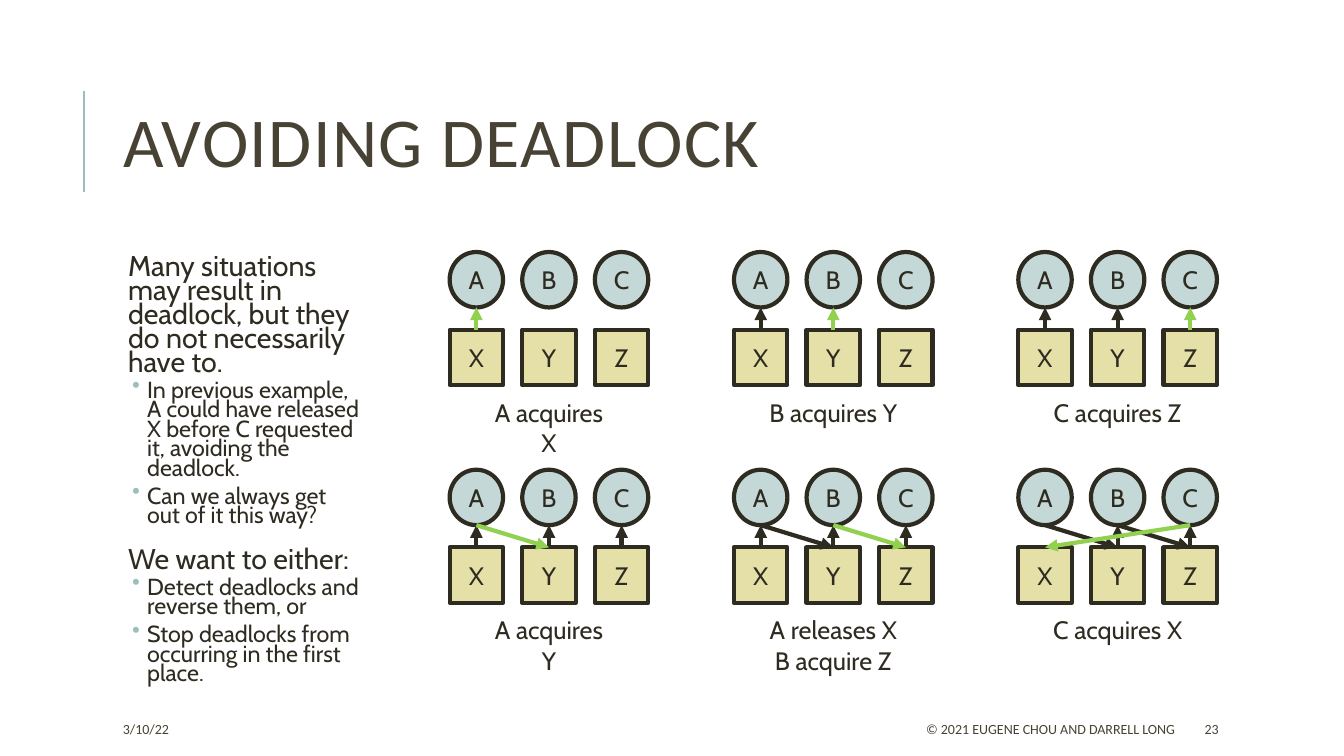
from pptx import Presentation
from pptx.dml.color import RGBColor
from pptx.enum.shapes import MSO_CONNECTOR, MSO_SHAPE
from pptx.enum.text import MSO_ANCHOR, PP_ALIGN
from pptx.oxml.ns import qn
from pptx.util import Inches, Pt
from lxml.etree import SubElement

COLORS = {"text": "2E2B21", "title": "474233", "accent": "9CBEBD",
          "process": "C4D8D7", "resource": "E4E0A7", "new": "92D050"}
SLIDE_W, SLIDE_H = 13.33, 7.5
LEFT = 1.12                         # left edge of title, text and footer
GRID_X, GRID_Y = 4.46, 2.5          # first panel
COL, ROW = 2.82, 2.16               # panel pitch
NODE_W, NODE_H, NODE_STEP = 0.53, 0.55, 0.72
RESOURCE_DY, CAPTION_DY = 0.77, 1.39
PANEL_W = 2 * NODE_STEP + NODE_W
PROCESSES, RESOURCES = "ABC", "XYZ"

# Caption lines, caption width, arrows from-to; the last arrow is the new one
PANELS = [
    (["A acquires X"], 1.4, ["XA"]),
    (["B acquires Y"], 1.5, ["XA", "YB"]),
    (["C acquires Z"], 1.5, ["XA", "YB", "ZC"]),
    (["A acquires Y"], 1.4, ["XA", "YB", "ZC", "AY"]),
    (["A releases X", "B acquire Z"], 1.5, ["XA", "AY", "YB", "ZC", "BZ"]),
    (["C acquires X"], 2.61, ["AY", "BZ", "YB", "ZC", "CX"]),
]
BODY = [
    (0, "Many situations may result in deadlock, but they do not necessarily have to."),
    (1, "In previous example, A could have released X before C requested it, "
        "avoiding the deadlock."),
    (1, "Can we always get out of it this way?"),
    (0, "We want to either:"),
    (1, "Detect deadlocks and reverse them, or"),
    (1, "Stop deadlocks from occurring in the first place."),
]


def rgb(name):
    return RGBColor.from_string(COLORS[name])


def box(*lengths):
    return [Inches(v) for v in lengths]


def write(p, text, size=18, font="Cabin", color="text", align=None):
    r = p.add_run()
    r.text = text
    r.font.size, r.font.name = Pt(size), font
    r.font.color.rgb = rgb(color)
    p.alignment = align
    return r


def add_text(shapes, at, lines, anchor=MSO_ANCHOR.TOP, **fmt):
    tf = shapes.add_textbox(*box(*at)).text_frame
    tf.word_wrap, tf.vertical_anchor = True, anchor
    for i, line in enumerate(lines):
        write(tf.add_paragraph() if i else tf.paragraphs[0], line, **fmt)


def add_line(shapes, start, end, color, width, arrow=False):
    cx = shapes.add_connector(MSO_CONNECTOR.STRAIGHT, *box(*start, *end))
    cx.line.color.rgb, cx.line.width = rgb(color), Pt(width)
    if arrow:
        SubElement(cx.line._get_or_add_ln(), qn("a:tailEnd"), type="triangle")
    SubElement(cx._element.spPr, qn("a:effectLst"))


def add_node(shapes, kind, at, label, fill):
    sp = shapes.add_shape(kind, *box(*at, NODE_W, NODE_H))
    sp.shadow.inherit = False
    sp.fill.solid()
    sp.fill.fore_color.rgb = rgb(fill)
    sp.line.color.rgb, sp.line.width = rgb("text"), Pt(3)
    tf = sp.text_frame
    tf.vertical_anchor = MSO_ANCHOR.MIDDLE
    write(tf.paragraphs[0], label, align=PP_ALIGN.CENTER)


def add_title(s):
    add_line(s.shapes, (0.83, 1.9), (0.83, 0.9), "accent", 1.5)
    sp = s.shapes.title
    sp.left, sp.top, sp.width, sp.height = box(LEFT, 0.64, 10.63, 1.64)
    tf = sp.text_frame
    tf.word_wrap, tf.vertical_anchor = True, MSO_ANCHOR.MIDDLE
    p = tf.paragraphs[0]
    p.line_spacing = 0.8
    r = write(p, "AVOIDING DEADLOCK", 50, "Calibri", "title", PP_ALIGN.LEFT)
    r.font._element.set("spc", "100")


def add_body(s, at):
    tf = s.shapes.add_textbox(*box(*at)).text_frame
    tf.word_wrap = True
    tf.margin_left = tf.margin_right = tf.margin_top = tf.margin_bottom = Inches(0.05)
    for i, (level, text) in enumerate(BODY):
        p = tf.add_paragraph() if i else tf.paragraphs[0]
        p.level, p.line_spacing = level, 0.7
        p.space_before = Pt((2 if level else 12) if i else 0)
        p.space_after = Pt(4 if level else 2)
        pPr = p._p.get_or_add_pPr()
        pPr.set("marL", str(Inches(0.29 if level else 0.1)))
        pPr.set("indent", str(Inches(-0.15 if level else 0)))
        if level:
            clr = SubElement(pPr, qn("a:buClr"))
            SubElement(clr, qn("a:srgbClr"), val=COLORS["accent"])
            SubElement(pPr, qn("a:buChar"), char="•")
        write(p, text, 16.6 if level else 20.4)


def add_panel(s, x, y, caption, caption_w, arrows):
    shapes = s.shapes.add_group_shape().shapes
    ports = {}                      # where arrows meet each node
    for i, (process, resource) in enumerate(zip(PROCESSES, RESOURCES)):
        nx = x + i * NODE_STEP
        add_node(shapes, MSO_SHAPE.OVAL, (nx, y), process, "process")
        add_node(shapes, MSO_SHAPE.RECTANGLE, (nx, y + RESOURCE_DY), resource, "resource")
        ports[process] = (nx + NODE_W / 2, y + NODE_H)
        ports[resource] = (nx + NODE_W / 2, y + RESOURCE_DY)
    add_text(shapes, (x + (PANEL_W - caption_w) / 2, y + CAPTION_DY, caption_w, 0.7),
             caption, align=PP_ALIGN.CENTER)
    for start, end in arrows:
        color = "new" if start + end == arrows[-1] else "text"
        add_line(shapes, ports[start], ports[end], color, 3, arrow=True)


def add_footer(s):
    for x, w, text, align in [
            (LEFT, 2.36, "3/10/22", PP_ALIGN.LEFT),
            (5.3, 6.45, "© 2021 EUGENE CHOU AND DARRELL LONG", PP_ALIGN.RIGHT),
            (11.85, 1.06, "23", PP_ALIGN.LEFT)]:
        add_text(s.shapes, (x, 7.08, w, 0.3), [text], MSO_ANCHOR.MIDDLE,
                 size=10, font="Calibri", color="title", align=align)


def main():
    prs = Presentation()
    prs.slide_width, prs.slide_height = box(SLIDE_W, SLIDE_H)
    s = prs.slides.add_slide(prs.slide_layouts[5])
    add_title(s)
    add_body(s, (LEFT, GRID_Y, 2.52, 4.4))
    for i, panel in enumerate(PANELS):
        row, col = divmod(i, 3)
        add_panel(s, GRID_X + col * COL, GRID_Y + row * ROW, *panel)
    add_footer(s)
    prs.save("out.pptx")


if __name__ == "__main__":
    main()
